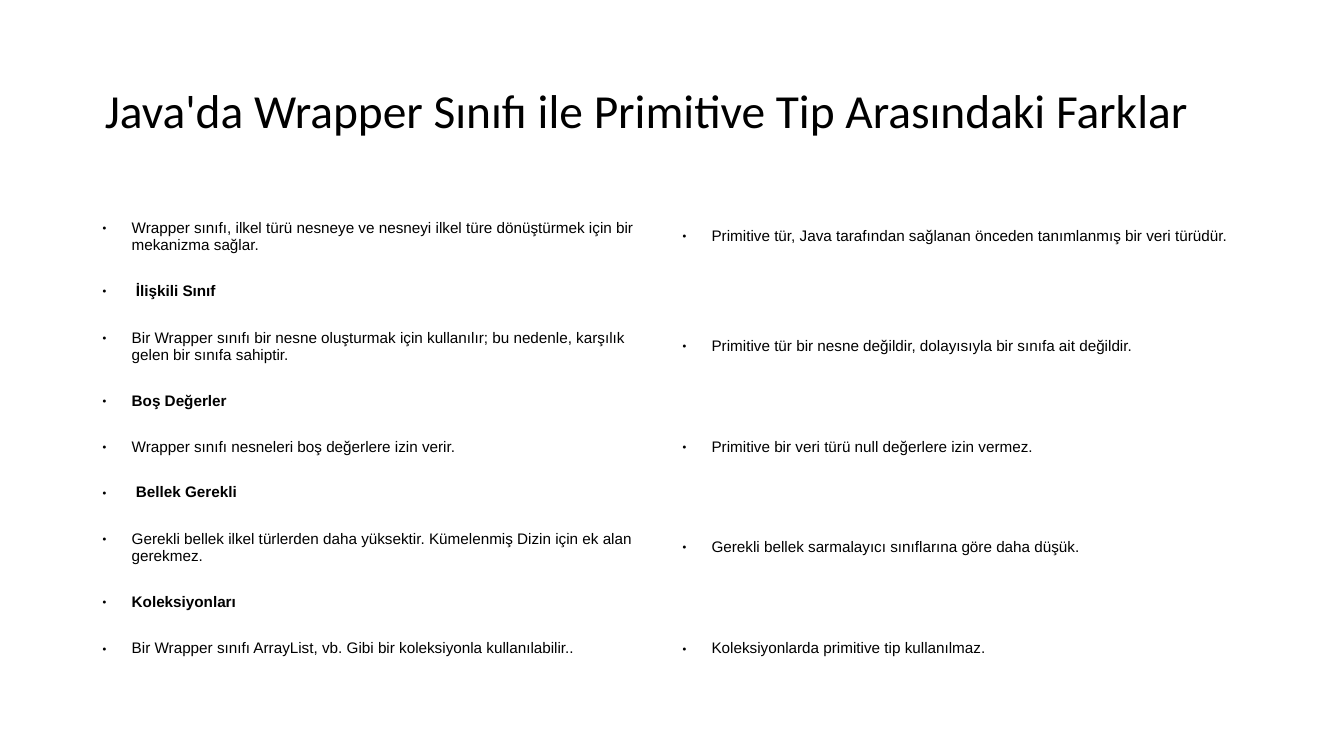
from lxml import etree
from pptx import Presentation
from pptx import util as u
from pptx.dml.color import RGBColor
from pptx.enum import text
from pptx.oxml import ns

BLACK = RGBColor(0x00, 0x00, 0x00)
WHITE = RGBColor(0xFF, 0xFF, 0xFF)

TITLE = "Java'da Wrapper Sınıfı ile Primitive Tip Arasındaki Farklar"

# A row with one entry is a heading that spans both columns.
ROWS = [
    (0.6, ["Wrapper sınıfı, ilkel türü nesneye ve nesneyi ilkel türe dönüştürmek için bir mekanizma sağlar.",
           "Primitive tür, Java tarafından sağlanan önceden tanımlanmış bir veri türüdür."]),
    (0.3, [" İlişkili Sınıf"]),
    (0.6, ["Bir Wrapper sınıfı bir nesne oluşturmak için kullanılır; bu nedenle, karşılık gelen bir sınıfa sahiptir.",
           "Primitive tür bir nesne değildir, dolayısıyla bir sınıfa ait değildir."]),
    (0.3, ["Boş Değerler"]),
    (0.45, ["Wrapper sınıfı nesneleri boş değerlere izin verir.",
            "Primitive bir veri türü null değerlere izin vermez."]),
    (0.3, [" Bellek Gerekli "]),
    (0.6, ["Gerekli bellek ilkel türlerden daha yüksektir. Kümelenmiş Dizin için ek alan gerekmez.",
           "Gerekli bellek sarmalayıcı sınıflarına göre daha düşük."]),
    (0.3, ["Koleksiyonları"]),
    (0.46, ["Bir Wrapper sınıfı ArrayList, vb. Gibi bir koleksiyonla kullanılabilir..",
            "Koleksiyonlarda primitive tip kullanılmaz."]),
]


class SlideBuilder:
    title_font, title_size = "Calibri", 28
    body_font, body_size = "Arial", 9
    left, width = 0.76, 9.51

    def __init__(self, page):
        self.page = page

    def add_span(self, para, words, font, size, bold=False):
        span = para.add_run()
        span.text = words
        span.font.name = font
        span.font.size = u.Pt(size)
        span.font.bold = bold
        span.font.color.rgb = BLACK

    def add_title(self, words):
        box = self.page.shapes.title
        box.left, box.top = u.Inches(self.left), u.Inches(0.33)
        box.width, box.height = u.Inches(self.width), u.Inches(1.2)
        frame = box.text_frame
        frame.word_wrap = True
        frame.auto_size = text.MSO_AUTO_SIZE.NONE
        frame.vertical_anchor = text.MSO_ANCHOR.MIDDLE
        para = frame.paragraphs[0]
        para.alignment = text.PP_ALIGN.LEFT
        para.line_spacing = 0.9
        self.add_span(para, words, self.title_font, self.title_size)

    def add_bullet(self, para):
        """Give the paragraph a hanging indent and a small round bullet."""
        props = para._p.get_or_add_pPr()
        props.set("marL", str(u.Inches(0.24)))
        props.set("indent", str(u.Inches(-0.24)))
        color = etree.SubElement(props, ns.qn("a:buClr"))
        etree.SubElement(color, ns.qn("a:srgbClr"), val=str(BLACK))
        etree.SubElement(props, ns.qn("a:buSzPct"), val="45000")
        etree.SubElement(props, ns.qn("a:buFont"), typeface=self.body_font)
        etree.SubElement(props, ns.qn("a:buChar"), char="●")

    def fill_cell(self, cell, words, bold):
        cell.fill.solid()
        cell.fill.fore_color.rgb = WHITE
        cell.vertical_anchor = text.MSO_ANCHOR.MIDDLE
        cell.margin_left = cell.margin_right = u.Inches(0.08)
        cell.margin_top = cell.margin_bottom = u.Inches(0.05)
        para = cell.text_frame.paragraphs[0]
        self.add_bullet(para)
        self.add_span(para, words, self.body_font, self.body_size, bold)

    def add_comparison(self, rows):
        height = sum(row_height for row_height, _ in rows)
        table = self.page.shapes.add_table(
            len(rows), 2, u.Inches(self.left), u.Inches(1.64),
            u.Inches(self.width), u.Inches(height)).table
        table.first_row = table.horz_banding = False
        for index, (row_height, entries) in enumerate(rows):
            table.rows[index].height = u.Inches(row_height)
            heading = len(entries) == 1
            if heading:
                table.cell(index, 0).merge(table.cell(index, 1))
            for column, words in enumerate(entries):
                self.fill_cell(table.cell(index, column), words, heading)


def main():
    deck = Presentation()
    deck.slide_width, deck.slide_height = u.Inches(11.02), u.Inches(6.2)
    builder = SlideBuilder(deck.slides.add_slide(deck.slide_layouts[5]))
    builder.add_title(TITLE)
    builder.add_comparison(ROWS)
    deck.save("out.pptx")


if __name__ == "__main__":
    main()
